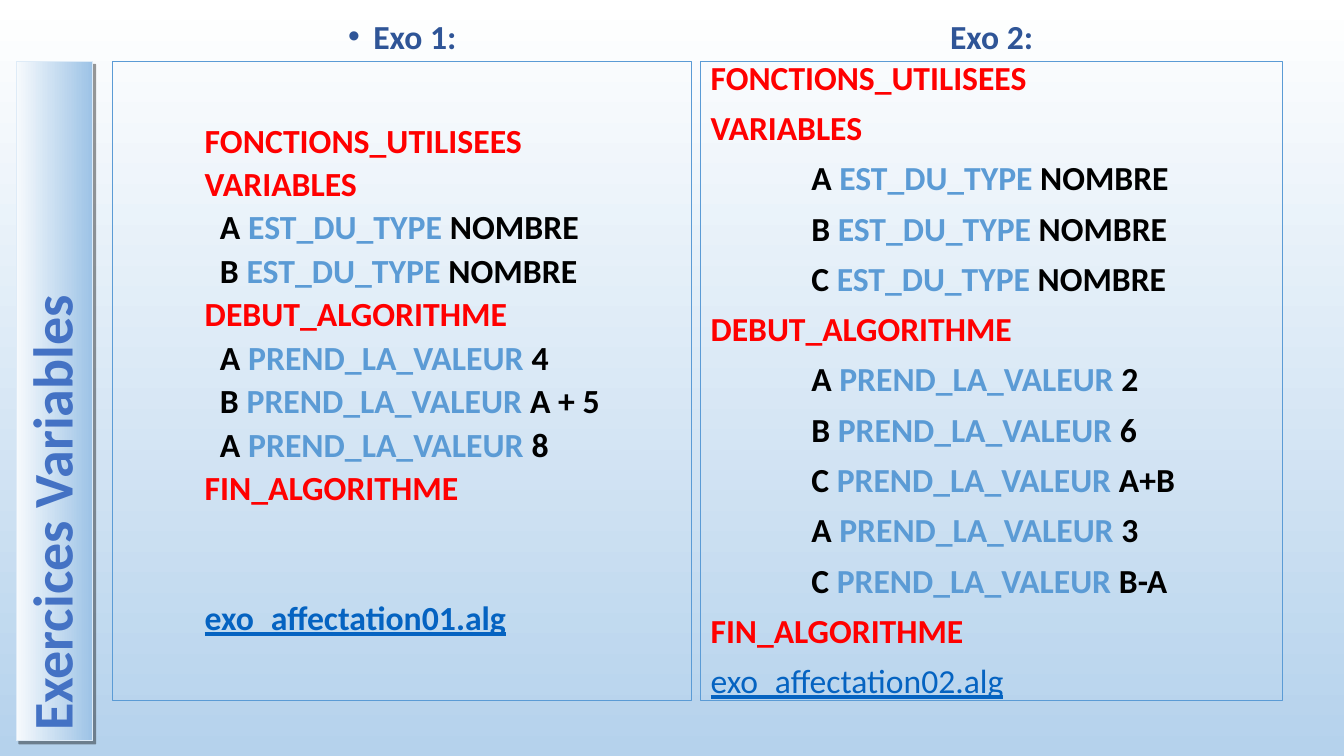
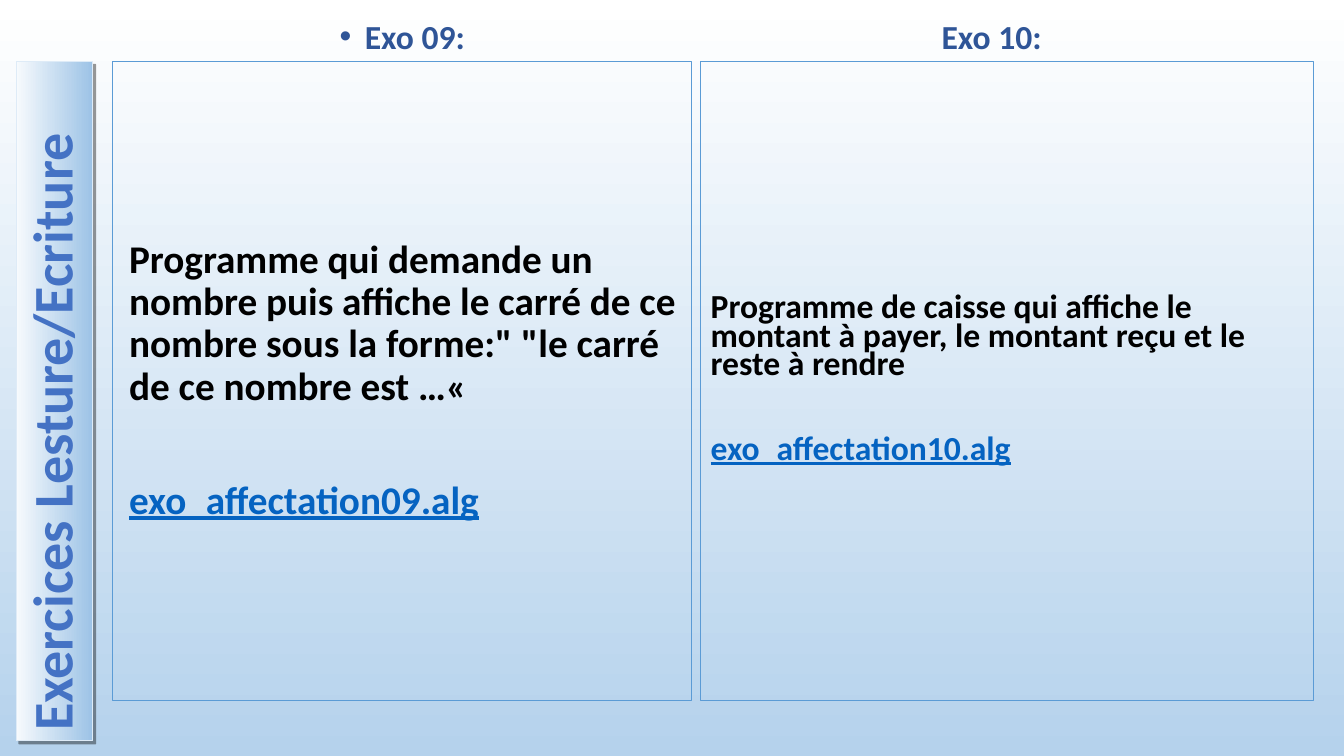
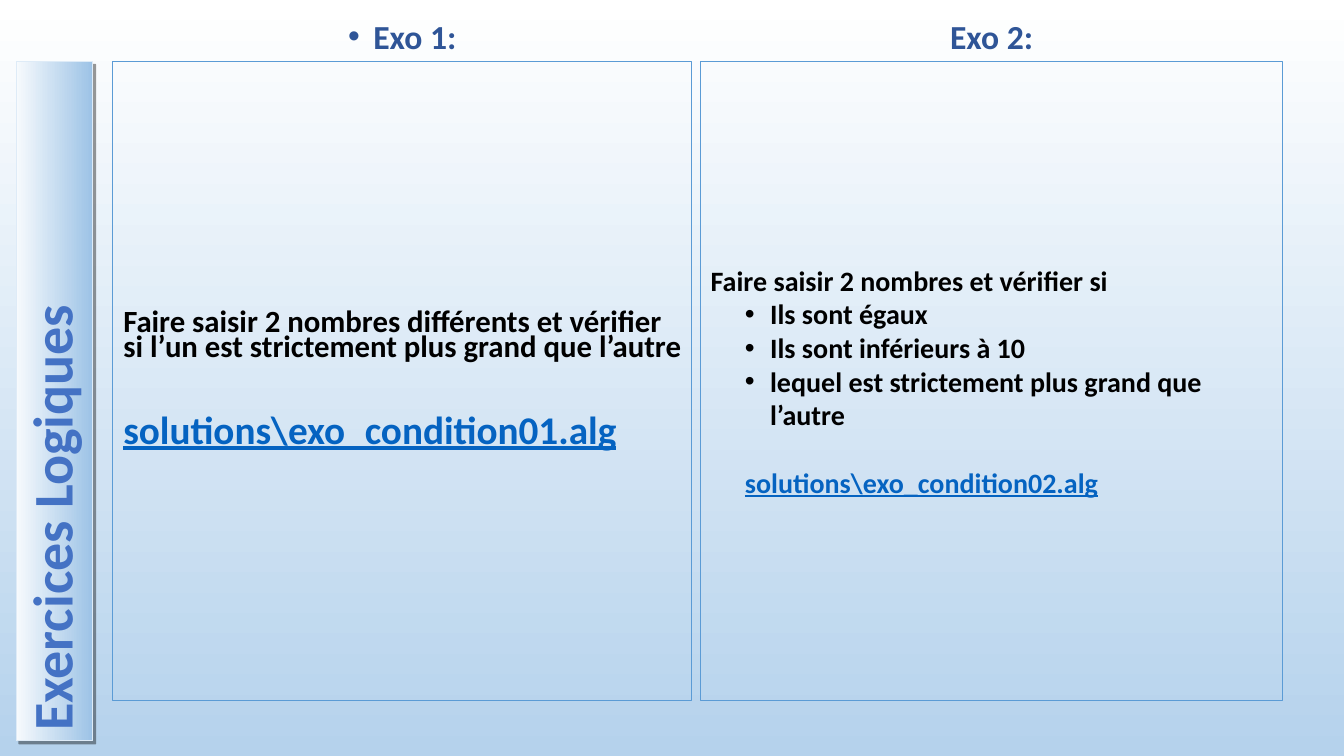
from lxml.etree import SubElement
from pptx import Presentation
from pptx.dml.color import RGBColor
from pptx.enum.shapes import MSO_SHAPE
from pptx.enum.text import MSO_ANCHOR, PP_ALIGN
from pptx.oxml.ns import qn
from pptx.util import Inches, Pt

FONT = "Calibri"
WHITE = RGBColor(0xFF, 0xFF, 0xFF)
BLACK = RGBColor(0x00, 0x00, 0x00)
RED = RGBColor(0xFF, 0x00, 0x00)
SKY = RGBColor(0xB5, 0xD2, 0xEC)
BAND_LIGHT = RGBColor(0xF7, 0xFA, 0xFD)
BAND_DARK = RGBColor(0x9D, 0xC3, 0xE6)
BAND_LINE = RGBColor(0xDE, 0xEB, 0xF7)
TITLE_BLUE = RGBColor(0x44, 0x72, 0xC4)
HEADING_BLUE = RGBColor(0x2F, 0x55, 0x97)
KEYWORD_BLUE = RGBColor(0x5B, 0x9B, 0xD5)
LINK_BLUE = RGBColor(0x05, 0x63, 0xC1)

LEFT_X, LEFT_WIDTH = 1.12, 5.74
RIGHT_X, RIGHT_WIDTH = 6.95, 5.77
HEADING_Y, HEADING_HEIGHT = 0.1, 0.51
BODY_Y, BODY_HEIGHT = 0.61, 6.34


def set_gradient(fill, start, end):
    fill.gradient()
    fill.gradient_angle = 270
    fill.gradient_stops[0].color.rgb = start
    fill.gradient_stops[1].color.rgb = end


def add_text(frame, runs, size, spacing=0.9, before=0, margin=0, bullet=None, bold=True):
    paragraph = frame.paragraphs[0]
    if paragraph.runs:
        paragraph = frame.add_paragraph()
        paragraph.space_before = Pt(before)
    properties = paragraph._p.get_or_add_pPr()
    properties.set("marL", str(Inches(margin)))
    if bullet:
        properties.set("indent", str(Inches(-0.25)))
        color = SubElement(properties, qn("a:buClr"))
        SubElement(color, qn("a:srgbClr")).set("val", str(bullet))
        SubElement(properties, qn("a:buFont")).set("typeface", "Arial")
        SubElement(properties, qn("a:buChar")).set("char", "•")
    paragraph.alignment = PP_ALIGN.LEFT
    paragraph.line_spacing = spacing
    for text, color in runs:
        run = paragraph.add_run()
        run.text = text
        run.font.name = FONT
        run.font.size = Pt(size)
        run.font.bold = bold
        run.font.underline = color == LINK_BLUE
        run.font.color.rgb = color
    return paragraph


ALGORITHM_1 = [
    "FONCTIONS_UTILISEES", "VARIABLES",
    "A EST_DU_TYPE NOMBRE", "B EST_DU_TYPE NOMBRE",
    "DEBUT_ALGORITHME",
    "A PREND_LA_VALEUR 4", "B PREND_LA_VALEUR A + 5", "A PREND_LA_VALEUR 8",
    "FIN_ALGORITHME",
]
ALGORITHM_2 = [
    "FONCTIONS_UTILISEES", "VARIABLES",
    "A EST_DU_TYPE NOMBRE", "B EST_DU_TYPE NOMBRE", "C EST_DU_TYPE NOMBRE",
    "DEBUT_ALGORITHME",
    "A PREND_LA_VALEUR 2", "B PREND_LA_VALEUR 6", "C PREND_LA_VALEUR A+B",
    "A PREND_LA_VALEUR 3", "C PREND_LA_VALEUR B-A",
    "FIN_ALGORITHME",
]

algorithm_paragraphs = []
for lines, size, before, prefix, margin in (
    (ALGORITHM_1, 24.1, 5, "  ", 0),
    (ALGORITHM_2, 24, 10, "", 1),
):
    paragraphs = []
    for line in lines:
        words = line.split(" ", 2)
        options = {"size": size, "before": before}
        if len(words) == 1:
            runs = [(line, RED)]
        else:
            variable, keyword, value = words
            runs = [(f"{prefix}{variable} ", BLACK), (keyword, KEYWORD_BLUE), (f" {value}", BLACK)]
            options["margin"] = margin
        paragraphs.append((runs, options))
    algorithm_paragraphs.append(paragraphs)

algorithm_paragraphs[0].append(
    ([("exo_affectation01.alg", LINK_BLUE)], {"size": 24.1, "before": 67}))
algorithm_paragraphs[1].append(
    ([("exo_affectation02.alg", LINK_BLUE)], {"size": 24, "before": 10, "bold": False}))

square_paragraphs = [
    ([("Programme qui demande un nombre puis affiche le carré de ce nombre "
       "sous la forme:\" \"le carré de ce nombre est …«", BLACK)], {"size": 28}),
    ([("exo_affectation09.alg", LINK_BLUE)], {"size": 28, "before": 51}),
]
till_paragraphs = [
    ([("Programme de caisse qui affiche le montant à payer, le montant reçu "
       "et le reste à rendre", BLACK)], {"size": 24, "spacing": 0.7}),
    ([("exo_affectation10.alg", LINK_BLUE)], {"size": 24, "spacing": 0.7, "before": 40.5}),
]
greater_paragraphs = [
    ([("Faire saisir 2 nombres différents et vérifier si l’un est strictement "
       "plus grand que l’autre", BLACK)], {"size": 22, "spacing": 0.7}),
    ([("solutions\\exo_condition01.alg", LINK_BLUE)], {"size": 28, "spacing": 0.7, "before": 39}),
]
compare_paragraphs = [
    ([("Faire saisir 2 nombres et vérifier si", BLACK)], {"size": 20, "spacing": 1}),
]
for condition in ("Ils sont égaux", "Ils sont inférieurs à 10",
                  "lequel est strictement plus grand que l’autre"):
    compare_paragraphs.append(
        ([(condition, BLACK)], {"size": 20, "spacing": 1, "margin": 0.59, "bullet": BLACK}))
compare_paragraphs.append(
    ([("solutions\\exo_condition02.alg", LINK_BLUE)],
     {"size": 20, "spacing": 1, "margin": 0.34, "before": 24}))

SLIDES = [
    ("Exercices Variables", "Exo 1:", algorithm_paragraphs[0],
     "Exo 2:", algorithm_paragraphs[1], RIGHT_WIDTH),
    ("Exercices Lesture/Ecriture", "Exo 09:", square_paragraphs,
     "Exo 10:", till_paragraphs, 6.08),
    ("Exercices Logiques", "Exo 1:", greater_paragraphs,
     "Exo 2:", compare_paragraphs, RIGHT_WIDTH),
]

presentation = Presentation()
presentation.slide_width = Inches(13.33)
presentation.slide_height = Inches(7.5)
set_gradient(presentation.slide_master.background.fill, WHITE, SKY)

for title, left_heading, left_body, right_heading, right_body, right_body_width in SLIDES:
    slide = presentation.slides.add_slide(presentation.slide_layouts[6])

    band = slide.shapes.add_shape(
        MSO_SHAPE.RECTANGLE, Inches(-2.83), Inches(3.6), Inches(6.74), Inches(0.76))
    band.rotation = 270
    set_gradient(band.fill, BAND_LIGHT, BAND_DARK)
    band.line.color.rgb = BAND_LINE
    band.line.width = Pt(0.75)
    band.shadow.inherit = False
    shadow = SubElement(band._element.spPr.find(qn("a:effectLst")), qn("a:outerShdw"))
    for name, value in (("dist", Pt(3)), ("dir", 45 * 60000), ("algn", "ctr"), ("rotWithShape", 0)):
        shadow.set(name, str(value))
    shadow_color = SubElement(shadow, qn("a:srgbClr"))
    shadow_color.set("val", str(BLACK))
    SubElement(shadow_color, qn("a:alpha")).set("val", "40000")
    band.text_frame.word_wrap = True
    band.text_frame.vertical_anchor = MSO_ANCHOR.MIDDLE
    add_text(band.text_frame, [(title, TITLE_BLUE)], 40)

    for x, width, body_width, heading, body, is_left in (
        (LEFT_X, LEFT_WIDTH, LEFT_WIDTH, left_heading, left_body, True),
        (RIGHT_X, RIGHT_WIDTH, right_body_width, right_heading, right_body, False),
    ):
        heading_box = slide.shapes.add_textbox(
            Inches(x), Inches(HEADING_Y), Inches(width), Inches(HEADING_HEIGHT))
        heading_frame = heading_box.text_frame
        heading_frame.vertical_anchor = MSO_ANCHOR.BOTTOM
        paragraph = add_text(
            heading_frame, [(heading, HEADING_BLUE)], 24,
            margin=0.25 if is_left else 0, bullet=HEADING_BLUE if is_left else None)
        if not is_left:
            paragraph.alignment = PP_ALIGN.CENTER

        body_box = slide.shapes.add_shape(
            MSO_SHAPE.RECTANGLE, Inches(x), Inches(BODY_Y), Inches(body_width), Inches(BODY_HEIGHT))
        body_box.fill.background()
        body_box.line.color.rgb = KEYWORD_BLUE
        body_box.line.width = Pt(0.75)
        body_box.shadow.inherit = False
        body_frame = body_box.text_frame
        body_frame.vertical_anchor = MSO_ANCHOR.MIDDLE
        for runs, options in body:
            add_text(body_frame, runs, **options)

        for frame in (heading_frame, body_frame):
            frame.word_wrap = True
            if is_left:
                frame._txBody.bodyPr.set("anchorCtr", "1")

presentation.save("out.pptx")
